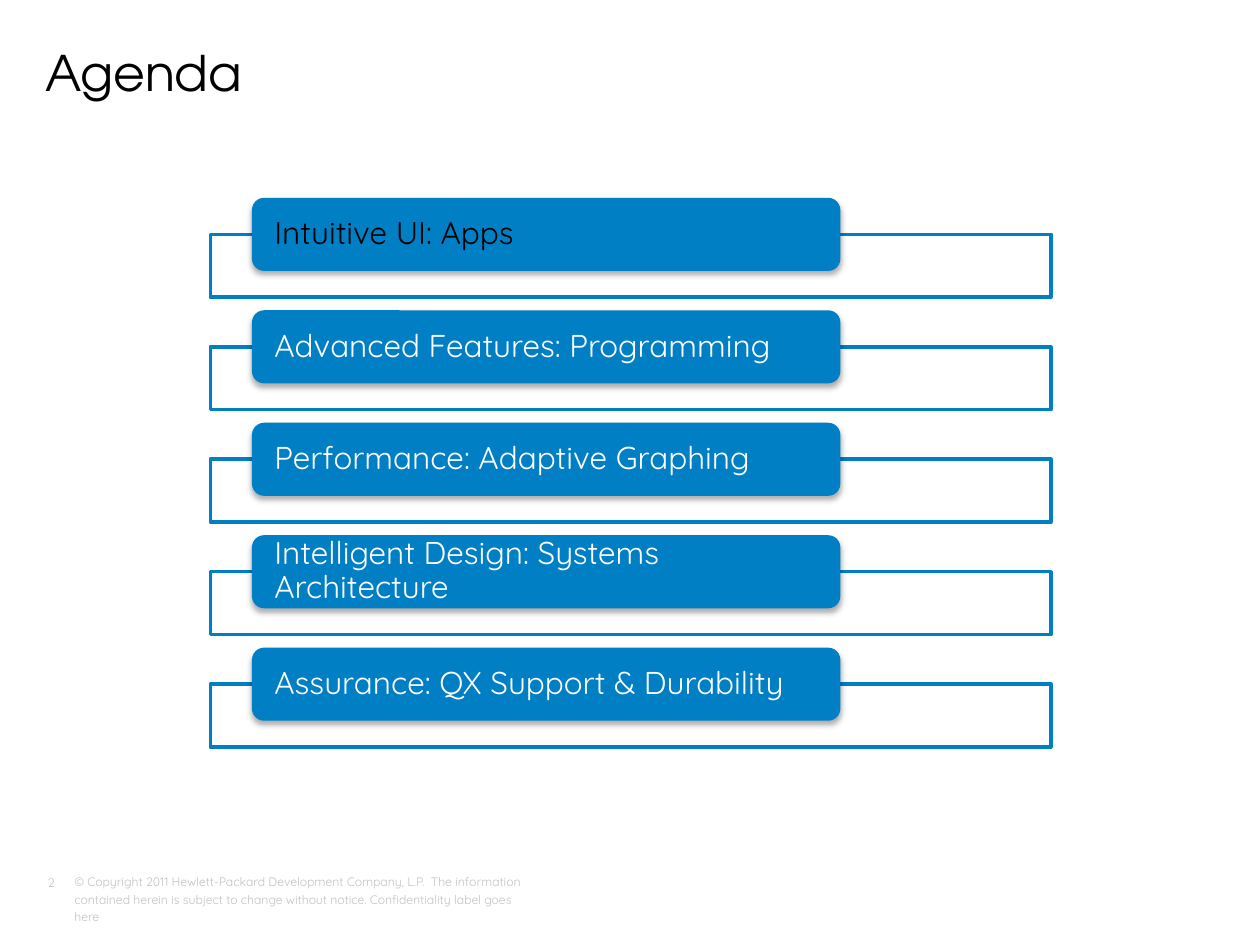
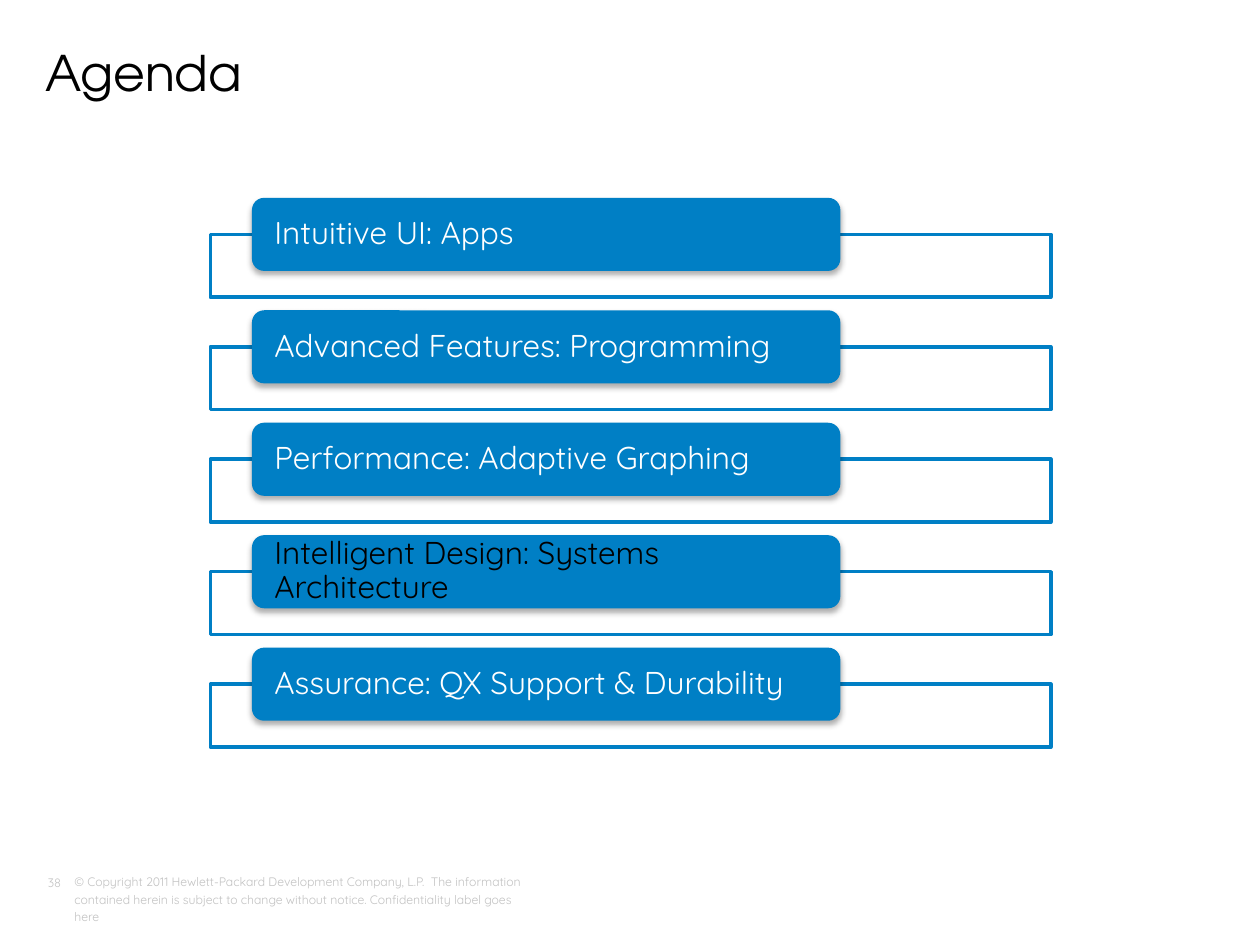
from lxml.etree import SubElement
from pptx import Presentation
from pptx.dml.color import RGBColor
from pptx.enum.shapes import MSO_SHAPE as Preset
from pptx.enum.text import MSO_ANCHOR as Anchor, PP_ALIGN as Align
from pptx.oxml.ns import qn
from pptx.util import Inches, Pt

# Content
TITLE = "Agenda"
TOPICS = [
    "Intuitive UI: Apps",
    "Advanced Features: Programming",
    "Performance: Adaptive Graphing",
    "Intelligent Design: Systems Architecture",
    "Assurance: QX Support & Durability",
]
COPYRIGHT = ("© Copyright 2011 Hewlett-Packard Development Company, L.P.  "
             "The information contained herein is subject to change without "
             "notice. Confidentiality label goes here")
SLIDES = [  # page number, index of the current topic
    ("2", 0),
    ("38", 3),
]

# Shared look
BLUE, WHITE, BLACK, GREY = "007FC5", "FFFFFF", "000000", "C2C2C2"
BODY_FONT, TITLE_FONT = "Quicksand", "TeX Gyre Adventor"
TITLE_STYLE = {"name": TITLE_FONT, "size": Pt(28), "color": BLACK}
FOOTER_STYLE = {"name": BODY_FONT, "size": Pt(7), "color": GREY}
TOPIC_STYLE = {"name": BODY_FONT, "size": Pt(18)}

# Agenda geometry in inches
TOPIC_TOP, TOPIC_STEP = 1.57, 0.8925
FRAME_LEFT, FRAME_WIDTH, FRAME_HEIGHT = 1.67, 6.67, 0.5
TOPIC_LEFT, TOPIC_WIDTH, TOPIC_HEIGHT = 2, 4.67, 0.58


def rgb(color):
    return RGBColor.from_string(color)


def write(shape, text, style, line_spacing, inset=0, anchor=Anchor.TOP):
    frame = shape.text_frame
    settings = {"word_wrap": True, "vertical_anchor": anchor,
                "margin_left": Inches(inset), "margin_right": Inches(inset),
                "margin_top": 0, "margin_bottom": 0}
    for name, value in settings.items():
        setattr(frame, name, value)
    paragraph = frame.paragraphs[0]
    paragraph.alignment = Align.LEFT
    paragraph.line_spacing = line_spacing
    run = paragraph.add_run()
    run.text = text
    for name, value in style.items():
        if name == "color":
            run.font.color.rgb = rgb(value)
        else:
            setattr(run.font, name, value)


def add_text(slide, place, text, style, line_spacing):
    box = slide.shapes.add_textbox(*map(Inches, place))
    write(box, text, style, line_spacing)


def add_box(slide, preset, place, fill):
    shape = slide.shapes.add_shape(preset, *map(Inches, place))
    shape.shadow.inherit = False
    shape.fill.solid()
    shape.fill.fore_color.rgb = rgb(fill)
    return shape


def set_alpha(color_element, percent):
    SubElement(color_element, qn("a:alpha"), val=str(percent * 1000))


def add_drop_shadow(shape):
    effects = shape.element.spPr.find(qn("a:effectLst"))
    shadow = SubElement(effects, qn("a:outerShdw"), blurRad=str(Pt(3.5)),
                        dist=str(Pt(2.2)), dir="5400000", rotWithShape="0")
    set_alpha(SubElement(shadow, qn("a:srgbClr"), val=BLACK), 32)


def add_topic(slide, top, text, color):
    # Outlined frame starts at the middle of the topic bar
    frame = add_box(slide, Preset.RECTANGLE,
                    (FRAME_LEFT, top + TOPIC_HEIGHT / 2, FRAME_WIDTH, FRAME_HEIGHT), WHITE)
    set_alpha(frame.element.spPr.find(qn("a:solidFill"))[0], 90)
    frame.line.color.rgb = rgb(BLUE)
    frame.line.width = Pt(2)

    # Topic bar
    bar = add_box(slide, Preset.ROUNDED_RECTANGLE,
                  (TOPIC_LEFT, top, TOPIC_WIDTH, TOPIC_HEIGHT), BLUE)
    bar.line.fill.background()
    add_drop_shadow(bar)
    write(bar, text, {**TOPIC_STYLE, "color": color}, 0.9, 0.15, Anchor.MIDDLE)


def add_agenda(presentation, page, current):
    slide = presentation.slides.add_slide(presentation.slide_layouts[6])
    # Title and footer
    add_text(slide, (0.36, 0.39, 9, 0.57), TITLE, TITLE_STYLE, Pt(30))
    add_text(slide, (0.59, 6.92, 3.68, 0.37), COPYRIGHT, FOOTER_STYLE, Pt(10))
    add_text(slide, (0.38, 6.92, 0.2, 0.18), page, FOOTER_STYLE, Pt(10))
    # Topics, the current one in black
    for index, topic in enumerate(TOPICS):
        color = BLACK if index == current else WHITE
        add_topic(slide, TOPIC_TOP + index * TOPIC_STEP, topic, color)


def main():
    presentation = Presentation()
    presentation.slide_width, presentation.slide_height = Inches(10), Inches(7.5)
    for page, current in SLIDES:
        add_agenda(presentation, page, current)
    presentation.save("out.pptx")


if __name__ == "__main__":
    main()
